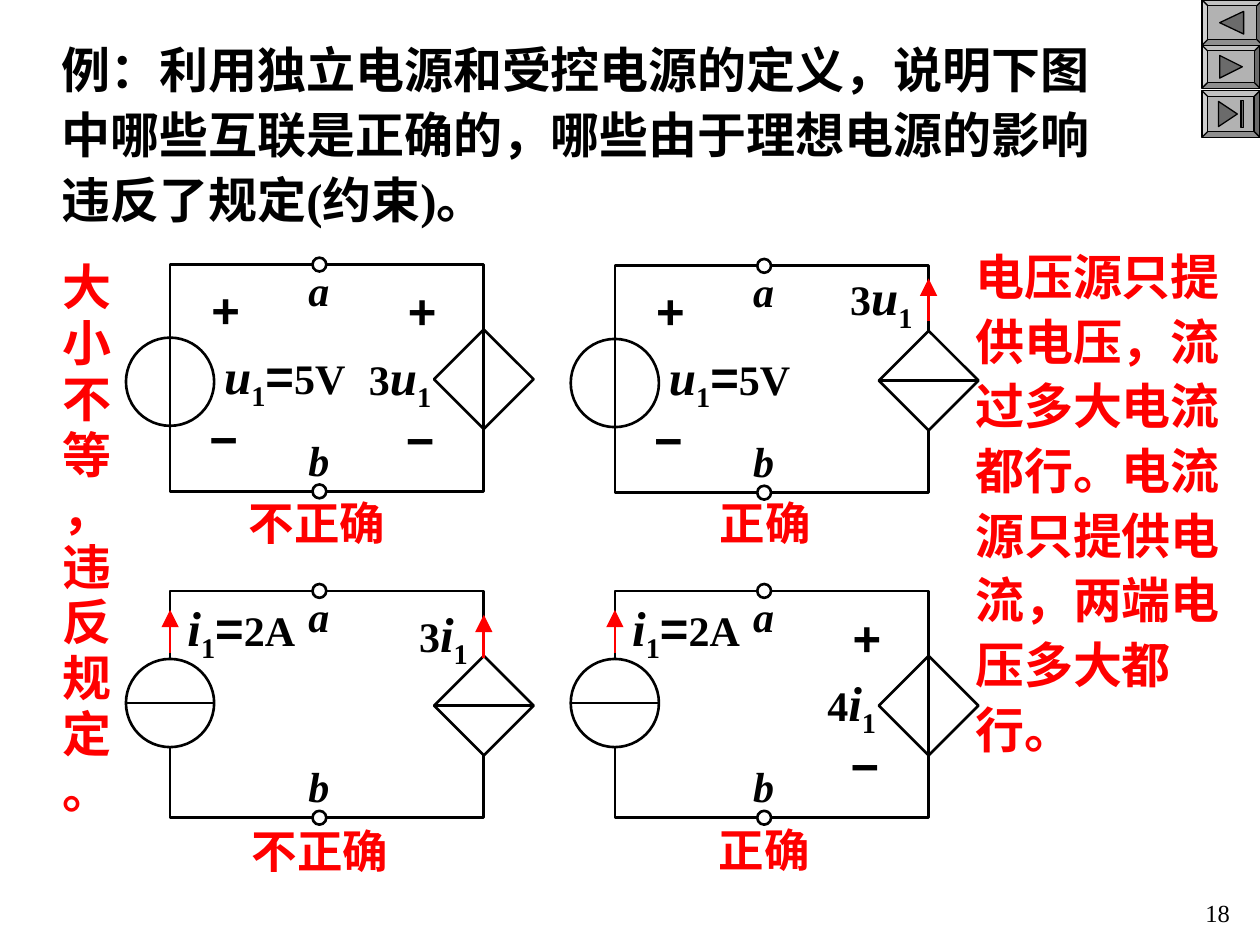
from pptx import Presentation
from pptx.dml.color import RGBColor
from pptx.enum.shapes import MSO_CONNECTOR as Connector, MSO_SHAPE as Shape
from pptx.enum.text import MSO_ANCHOR as Anchor, MSO_AUTO_SIZE as AutoSize, PP_ALIGN as Align
from pptx.oxml.ns import qn
from pptx.util import Inches, Pt
from lxml.etree import SubElement

BLACK, WHITE, RED, GRAY, DARK_GRAY = "000000", "FFFFFF", "FF0000", "B2B2B2", "6B6B6B"
SERIF, SANS = "Times New Roman", "Arial"
ITALIC, SMALL, SUBSCRIPT = {"italic": True}, {"size": 24}, {"baseline": -25}
PLUS = [("+", {"font": SANS})]
MINUS = [("−", {"font": SANS})]
EQUALS = ("=", {"font": SANS})
NODE = {"size": 24, "italic": True}


def color(value):
    return RGBColor.from_string(value)


def write(paragraph, text, size=28, font=SERIF, fill=BLACK, bold=True, italic=False, baseline=0):
    run = paragraph.add_run()
    run.text = text
    run.font.name = font
    run.font.size = Pt(size)
    run.font.bold = bold
    run.font.italic = italic
    run.font.color.rgb = color(fill)
    if baseline:
        run._r.get_or_add_rPr().set("baseline", str(baseline * 1000))


def variable(name):
    return [(name, ITALIC), ("1", SUBSCRIPT)]


class CircuitSlide:
    line_width = Pt(1.5)
    radius = 0.35
    half_diamond = 0.395
    loop_width = 2.49
    loop_height = 1.8
    diamond_center = 0.91

    def __init__(self, presentation):
        self.slide = presentation.slides.add_slide(presentation.slide_layouts[6])
        self.shapes = self.slide.shapes

    def paint(self, shape, fill, line_width):
        shape.shadow.inherit = False
        if fill:
            shape.fill.solid()
            shape.fill.fore_color.rgb = color(fill)
        else:
            shape.fill.background()
        shape.line.color.rgb = color(BLACK)
        shape.line.width = line_width
        return shape

    def shape(self, kind, left, top, width, height, fill=None, line_width=line_width):
        shape = self.shapes.add_shape(kind, Inches(left), Inches(top), Inches(width), Inches(height))
        return self.paint(shape, fill, line_width)

    def polygon(self, points, fill, line_width):
        start, *others = [(Inches(x), Inches(y)) for x, y in points]
        builder = self.shapes.build_freeform(*start)
        builder.add_line_segments(others, close=True)
        return self.paint(builder.convert_to_shape(), fill, line_width)

    def line(self, x1, y1, x2, y2, stroke=BLACK, arrow=False):
        connector = self.shapes.add_connector(
            Connector.STRAIGHT, Inches(x1), Inches(y1), Inches(x2), Inches(y2))
        connector.line.color.rgb = color(stroke)
        connector.line.width = self.line_width
        if arrow:
            SubElement(connector.line._get_or_add_ln(), qn("a:tailEnd"),
                       type="triangle", w="lg", len="lg")
        SubElement(connector._element.spPr, qn("a:effectLst"))
        return connector

    def text(self, left, top, width, height, *paragraphs, align=Align.CENTER, spacing=None,
             inset=(0.1, 0.05), wrap=True, grow=True, anchor=Anchor.TOP):
        shape = self.shapes.add_textbox(Inches(left), Inches(top), Inches(width), Inches(height))
        frame = shape.text_frame
        frame.word_wrap = wrap
        frame.auto_size = AutoSize.SHAPE_TO_FIT_TEXT if grow else AutoSize.NONE
        frame.vertical_anchor = anchor
        frame.margin_left = frame.margin_right = Inches(inset[0])
        frame.margin_top = frame.margin_bottom = Inches(inset[1])
        for index, runs in enumerate(paragraphs):
            paragraph = frame.add_paragraph() if index else frame.paragraphs[0]
            paragraph.alignment = align
            paragraph._p.get_or_add_pPr().set("hangingPunct", "0")
            if spacing:
                paragraph.line_spacing = spacing
            for content, style in runs:
                write(paragraph, content, **style)

    def label(self, left, top, width, height, runs):
        self.text(left, top, width, height, runs, wrap=False, inset=(0.02, 0.05))

    def signs(self, left, top):
        self.label(left, top + 0.07, 0.42, 0.57, PLUS)
        self.label(left + 0.03, top + 1.09, 0.33, 0.57, MINUS)

    def current_arrow(self, x, y):
        self.line(x, y, x, y - 0.34, stroke=RED, arrow=True)

    def independent_source(self, left, top, name):
        current = name == "i"
        center = top + (0.89 if current else 0.93)
        self.shape(Shape.OVAL, left - self.radius, center - self.radius,
                   2 * self.radius, 2 * self.radius, WHITE if current else None)
        value = variable(name) + [EQUALS, ("2A" if current else "5V", SMALL)]
        if current:
            self.line(left - self.radius, center, left + self.radius, center)
            self.current_arrow(left, top + 0.49)
            self.text(left, top, 1.13, 1.03, value)
        else:
            self.signs(left + 0.23, top)
            self.label(left + 0.29, top + 0.59, 1.24, 0.63, value)

    def dependent_source(self, left, top, name, factor, current):
        x = left + self.loop_width
        y = top + self.diamond_center
        half = self.half_diamond
        diamond = self.shape(Shape.DIAMOND, x - half, y - half, 2 * half, 2 * half,
                             WHITE if current else None)
        width = 0.69 if name == "u" else 0.58
        value = [(factor, SMALL)] + variable(name)
        if current:
            bar = self.line(x - half, y, x + half, y)
            bar.begin_connect(diamond, 1)
            bar.end_connect(diamond, 3)
            label_top = -0.04 if name == "u" else 0.05
            self.current_arrow(x, top + label_top + 0.48)
            self.label(x - 0.03 - width, top + label_top, width, 0.63, value)
        else:
            self.signs(left + 1.79, top + 0.01)
            self.label(x - 0.32 - width, top + 0.6, width, 0.63, value)

    def circuit(self, left, top, name, factor, current):
        self.shape(Shape.RECTANGLE, left, top, self.loop_width, self.loop_height)
        self.independent_source(left, top, name)
        self.dependent_source(left, top, name, factor, current)
        for node, y, label_top in (("a", 0, -0.05), ("b", self.loop_height, 1.3)):
            self.shape(Shape.OVAL, left + 1.13, top + y - 0.055, 0.11, 0.11, WHITE)
            self.label(left + 1, top + label_top, 0.36, 0.5, [(node, NODE)])

    def verdict(self, left, top, width, text):
        self.text(left, top, width, 0.45, [(text, {"size": 26, "fill": RED})], spacing=0.8)

    def navigation(self):
        thin = Pt(0.75)
        buttons = (
            (0, 0.48, 0.36, 9.87, 9.68, 0.09),
            (0.36, 0.46, 0.34, 9.68, 9.86, 0.09),
            (0.72, 0.46, 0.37, 9.67, 9.82, 0.1),
        )
        for top, width, height, base, tip, half in buttons:
            self.shape(Shape.BEVEL, 9.54, top, width, height, GRAY, thin)
            middle = top + height / 2
            arrow = [(base, middle - half), (tip, middle), (base, middle + half)]
            self.polygon(arrow, DARK_GRAY, thin)
        self.shape(Shape.RECTANGLE, 9.85, 0.8, 0.02, 0.21, DARK_GRAY, thin)


def main():
    presentation = Presentation()
    presentation.slide_width = Inches(10)
    presentation.slide_height = Inches(7.5)
    page = CircuitSlide(presentation)
    page.navigation()

    question = "例：利用独立电源和受控电源的定义，说明下图中哪些互联是正确的，哪些由于理想电源的影响违反了规定(约束)。"
    page.text(0.43, 0.22, 8.37, 1.64, [(question, {})], align=Align.LEFT, spacing=1.1,
              inset=(0.06, 0.05), anchor=Anchor.MIDDLE)

    page.circuit(1.35, 2.1, "u", "3", False)
    page.circuit(4.88, 2.11, "u", "3", True)
    page.circuit(1.35, 4.69, "i", "3", True)
    page.circuit(4.88, 4.69, "i", "4", False)

    page.verdict(1.54, 3.96, 1.95, "不正确")
    page.verdict(5.38, 3.96, 1.39, "正确")
    page.verdict(1.84, 6.57, 1.4, "不正确")
    page.verdict(5.37, 6.56, 1.39, "正确")

    red = {"fill": RED}
    page.text(0.47, 2.07, 0.44, 3.99, [("大小不等，违反规定", red)], [("。", red)],
              spacing=0.95, inset=(0, 0))
    reason = "电压源只提供电压，流过多大电流都行。电流源只提供电流，两端电压多大都行。"
    page.text(7.74, 1.91, 1.97, 3.59, [(reason, red)], align=Align.LEFT, spacing=1.1, inset=(0, 0))
    page.text(7.78, 7.08, 2.08, 0.4, [("18", {"size": 14, "bold": False})],
              align=Align.RIGHT, grow=False)
    presentation.save("out.pptx")


if __name__ == "__main__":
    main()
